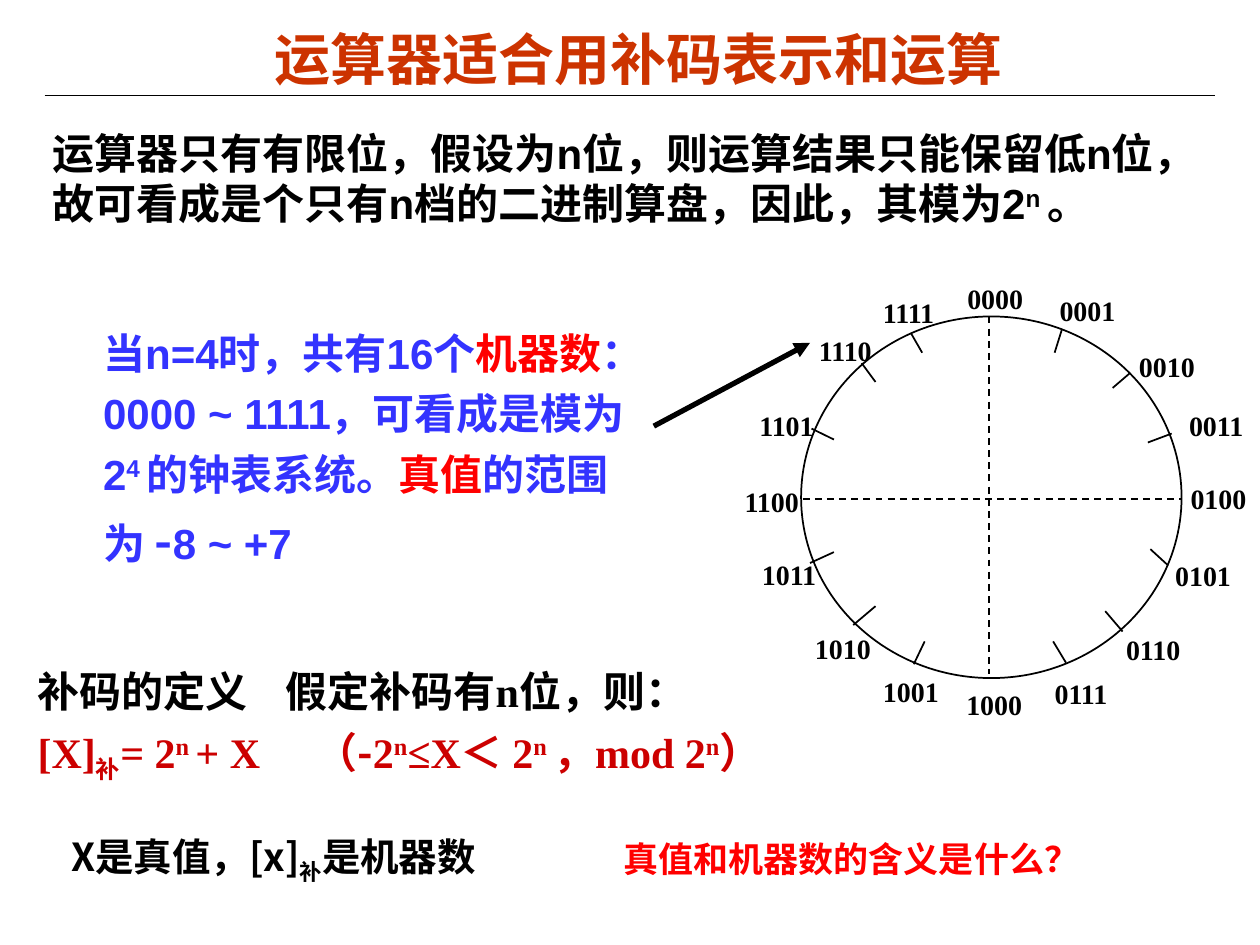
from dataclasses import dataclass
from typing import NamedTuple, Optional

from lxml.etree import SubElement
from pptx import Presentation
from pptx.dml.color import RGBColor
from pptx.enum.dml import MSO_LINE
from pptx.enum.shapes import MSO_CONNECTOR, MSO_SHAPE
from pptx.enum.text import MSO_ANCHOR, MSO_AUTO_SIZE, PP_ALIGN
from pptx.oxml.ns import qn
from pptx.util import Cm, Pt


@dataclass(frozen=True)
class Theme:
    black: str = "000000"
    title: str = "CC3300"
    blue: str = "3333FF"
    red: str = "FF0000"
    formula: str = "CC0000"
    sans: str = "Arial"
    serif: str = "Times New Roman"
    chinese: str = "Noto Sans CJK SC"
    title_size: int = 32
    minus_size: int = 28
    body_size: int = 24
    note_size: int = 22
    question_size: int = 20
    label_size: int = 16


THEME = Theme()
SUPERSCRIPT, SUBSCRIPT = 30, -25


class Box(NamedTuple):
    left: float
    top: float
    width: float
    height: float


class Segment(NamedTuple):
    x1: float
    y1: float
    x2: float
    y2: float


class Run(NamedTuple):
    text: str
    baseline: int = 0
    color: Optional[str] = None
    font: Optional[str] = None
    size: Optional[int] = None


@dataclass(frozen=True)
class Line:
    runs: list
    color: str = THEME.black
    space_before: float = 0
    tab: float = 0


# Dial parts, in centimetres
DIAL = Box(16.15, 6.38, 7.67, 7.29)
AXES = [Segment(16.18, 10.06, 23.83, 10.06), Segment(19.94, 6.38, 19.94, 13.59)]
# Left and top of the labels, clockwise from 0000
LABELS = [
    (19.25, 5.54), (21.11, 5.79), (22.71, 6.91), (23.72, 8.10),
    (23.75, 9.58), (23.44, 11.13), (22.45, 12.62), (21.01, 13.51),
    (19.23, 13.74), (17.55, 13.46), (16.18, 12.60), (15.11, 11.10),
    (14.76, 9.63), (15.06, 8.10), (16.26, 6.60), (17.55, 5.82),
]
TICKS = [
    Segment(21.26, 7.11, 21.41, 6.63), Segment(22.43, 7.82, 22.78, 7.52),
    Segment(23.14, 8.92, 23.62, 8.74), Segment(23.19, 11.07, 23.55, 11.40),
    Segment(22.28, 12.32, 22.63, 12.73), Segment(21.23, 12.93, 21.49, 13.36),
    Segment(18.42, 13.39, 18.64, 12.93), Segment(17.65, 12.22, 17.20, 12.60),
    Segment(16.81, 11.13, 16.33, 11.35), Segment(16.81, 8.86, 16.36, 8.64),
    Segment(17.37, 7.32, 17.65, 7.70), Segment(18.36, 6.71, 18.59, 7.11),
]

# Wording of the longer texts
INTRO = Line([
    Run("运算器只有有限位，假设为n位，则运算结果只能保留低n位，"
        "故可看成是个只有n档的二进制算盘，因此，其模为2"),
    Run("n ", SUPERSCRIPT), Run("。"),
])
CLOCK = Line([
    Run("当n=4时，共有16个"), Run("机器数", color=THEME.red),
    Run("：0000 ~ 1111，可看成是模为2"), Run("4 ", SUPERSCRIPT),
    Run("的钟表系统。"), Run("真值", color=THEME.red), Run("的范围为 "),
    Run("-", font=THEME.chinese, size=THEME.minus_size), Run("8 ~ +7"),
], color=THEME.blue)
DEFINITION = Line([Run("补码的定义\t假定补码有n位，则：")], tab=5)
FORMULA = Line([
    Run("[X]"), Run("补", SUBSCRIPT), Run("= 2"), Run("n ", SUPERSCRIPT),
    Run("+ X\t（"), Run("-", font=THEME.chinese), Run("2"), Run("n", SUPERSCRIPT),
    Run("≤X＜ 2"), Run("n ", SUPERSCRIPT), Run("，mod 2"), Run("n", SUPERSCRIPT),
    Run("）"),
], color=THEME.formula, space_before=6, tab=5.6)
NOTE = Line([Run("X是真值，[x]"), Run("补", SUBSCRIPT), Run("是机器数")])


def add_run(paragraph, text: str, *, font: str, size: int, color: str, baseline: int = 0) -> None:
    run = paragraph.add_run()
    run.text = text
    run.font.name = font
    run.font.size = Pt(size)
    run.font.bold = True
    run.font.color.rgb = RGBColor.from_string(color)
    properties = run._r.get_or_add_rPr()
    SubElement(properties, qn("a:ea")).set("typeface", THEME.chinese)
    if baseline:
        properties.set("baseline", str(baseline * 1000))


def add_text(slide, box: Box, lines: list, *, font: str = THEME.sans,
             size: int = THEME.body_size, align=PP_ALIGN.LEFT, anchor=MSO_ANCHOR.TOP,
             line_spacing: float = 1.0, wrap: bool = True,
             margins: tuple = (0.25, 0.13)) -> None:
    frame = slide.shapes.add_textbox(*map(Cm, box)).text_frame
    frame.word_wrap = wrap
    frame.auto_size = MSO_AUTO_SIZE.SHAPE_TO_FIT_TEXT
    frame.vertical_anchor = anchor
    frame.margin_left = frame.margin_right = Cm(margins[0])
    frame.margin_top = frame.margin_bottom = Cm(margins[1])
    for index, line in enumerate(lines):
        paragraph = frame.add_paragraph() if index else frame.paragraphs[0]
        paragraph.alignment = align
        paragraph.line_spacing = line_spacing
        if line.space_before:
            paragraph.space_before = Pt(line.space_before)
        if line.tab:
            tabs = SubElement(paragraph._p.get_or_add_pPr(), qn("a:tabLst"))
            tab = SubElement(tabs, qn("a:tab"))
            tab.set("pos", str(Cm(line.tab)))
            tab.set("algn", "l")
        for run in line.runs:
            add_run(paragraph, run.text, font=run.font or font, size=run.size or size,
                    color=run.color or line.color, baseline=run.baseline)


def add_line(slide, segment: Segment, *, width: float = 1, dashed: bool = False,
             arrow: bool = False) -> None:
    connector = slide.shapes.add_connector(MSO_CONNECTOR.STRAIGHT, *map(Cm, segment))
    connector.line.color.rgb = RGBColor.from_string(THEME.black)
    connector.line.width = Pt(width)
    if dashed:
        connector.line.dash_style = MSO_LINE.DASH
    if arrow:
        SubElement(connector.line._get_or_add_ln(), qn("a:tailEnd")).set("type", "triangle")
    SubElement(connector._element.spPr, qn("a:effectLst"))


def add_dial(slide) -> None:
    circle = slide.shapes.add_shape(MSO_SHAPE.OVAL, *map(Cm, DIAL))
    circle.shadow.inherit = False
    circle.fill.background()
    circle.line.color.rgb = RGBColor.from_string(THEME.black)
    circle.line.width = Pt(1)
    for axis in AXES:
        add_line(slide, axis, dashed=True)
    for tick in TICKS:
        add_line(slide, tick)
    for number, (left, top) in enumerate(LABELS):
        add_text(slide, Box(left, top, 1.65, 0.94), [Line([Run(f"{number:04b}")])],
                 font=THEME.serif, size=THEME.label_size, wrap=False)


def main() -> None:
    presentation = Presentation()
    presentation.slide_width = Cm(25.4)
    presentation.slide_height = Cm(19.05)
    slide = presentation.slides.add_slide(presentation.slide_layouts[6])

    # Title and rule
    add_line(slide, Segment(0.9, 1.93, 24.5, 1.93), width=0.75)
    add_text(slide, Box(1.35, 0.43, 23.06, 1.5),
             [Line([Run("运算器适合用补码表示和运算")], color=THEME.title)],
             size=THEME.title_size, align=PP_ALIGN.CENTER, anchor=MSO_ANCHOR.MIDDLE,
             margins=(0.18, 0.08))

    # Number dial
    add_dial(slide)

    # Explanation, with an arrow to the dial
    add_text(slide, Box(0.81, 2.44, 24, 2.29), [INTRO])
    add_text(slide, Box(1.83, 6.27, 11.76, 5.33), [CLOCK], line_spacing=1.2)
    add_line(slide, Segment(13.18, 8.59, 16.33, 6.91), width=3, arrow=True)

    # Definition, note and question
    add_text(slide, Box(0.51, 13.28, 20.19, 2.54), [DEFINITION, FORMULA], font=THEME.serif)
    add_text(slide, Box(1.19, 16.66, 9.12, 1.19), [NOTE],
             font=THEME.chinese, size=THEME.note_size)
    add_text(slide, Box(12.32, 16.76, 11.76, 1.09),
             [Line([Run("真值和机器数的含义是什么？")], color=THEME.red)],
             size=THEME.question_size)

    presentation.save("out.pptx")


if __name__ == "__main__":
    main()
